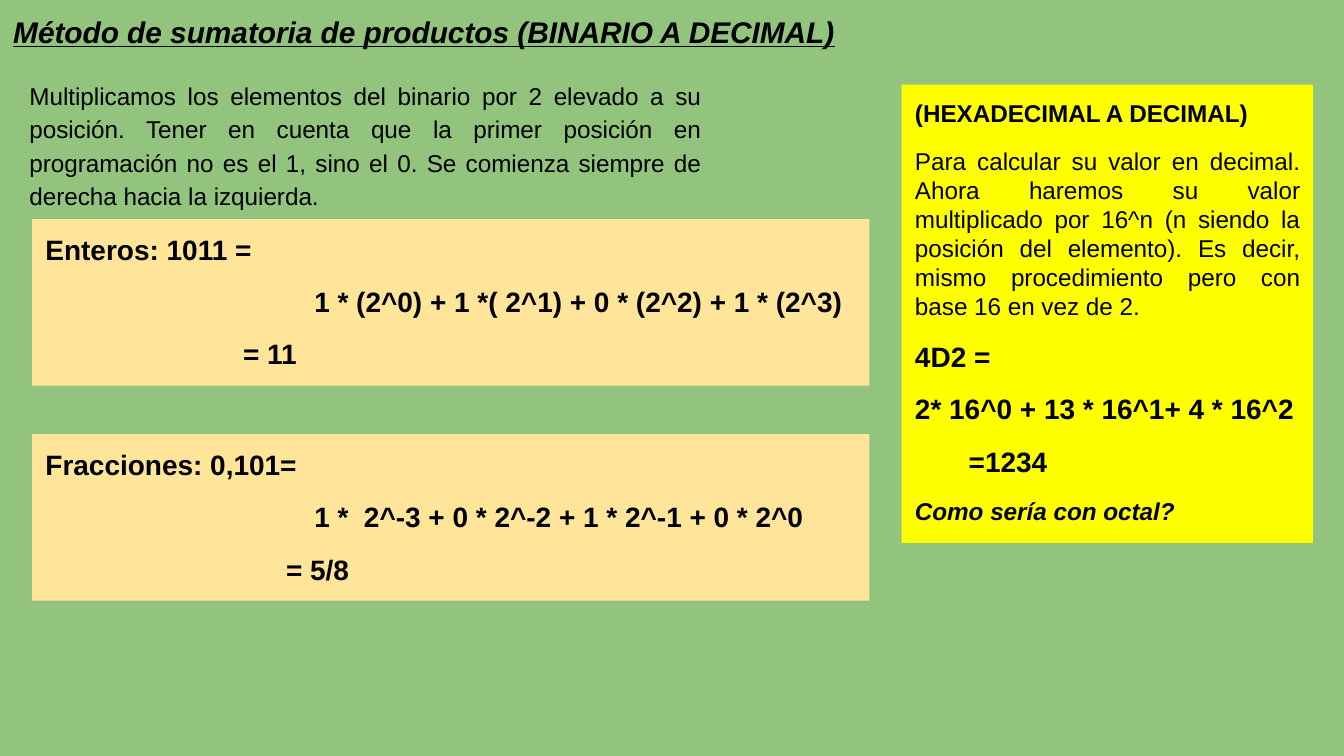
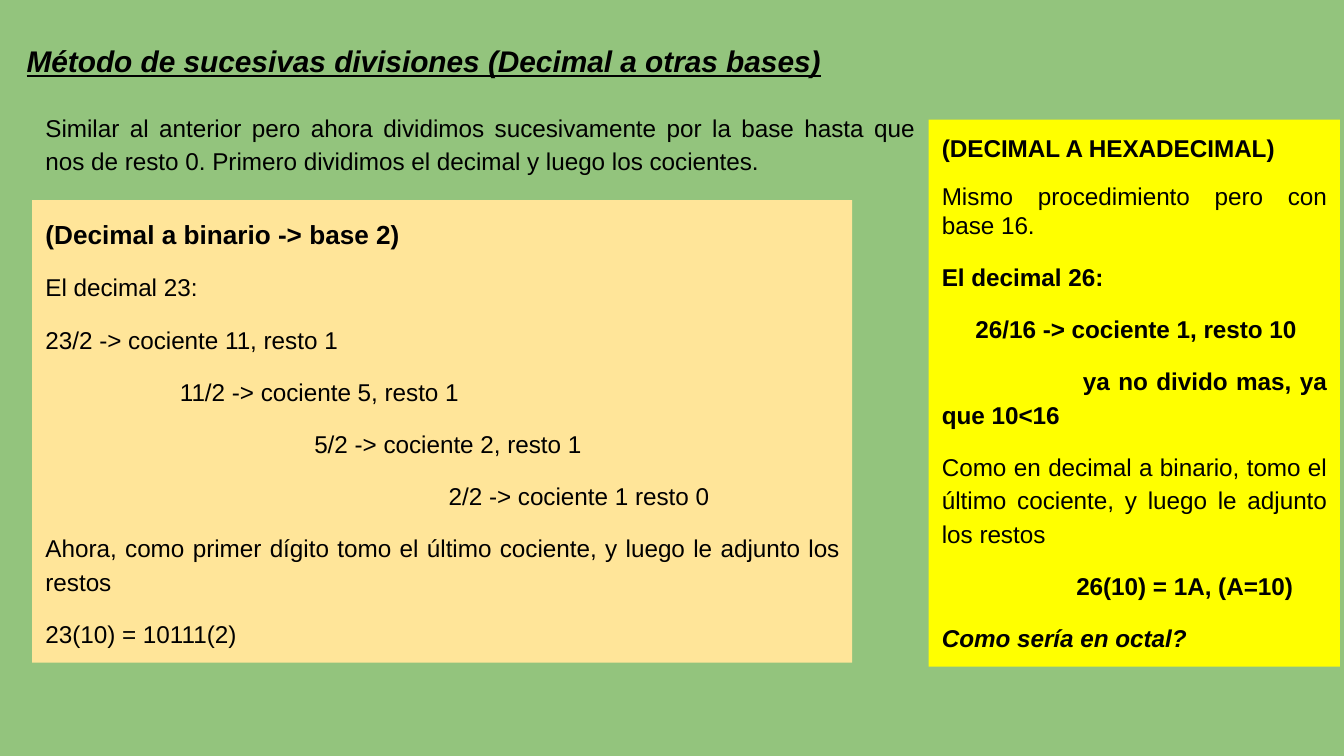
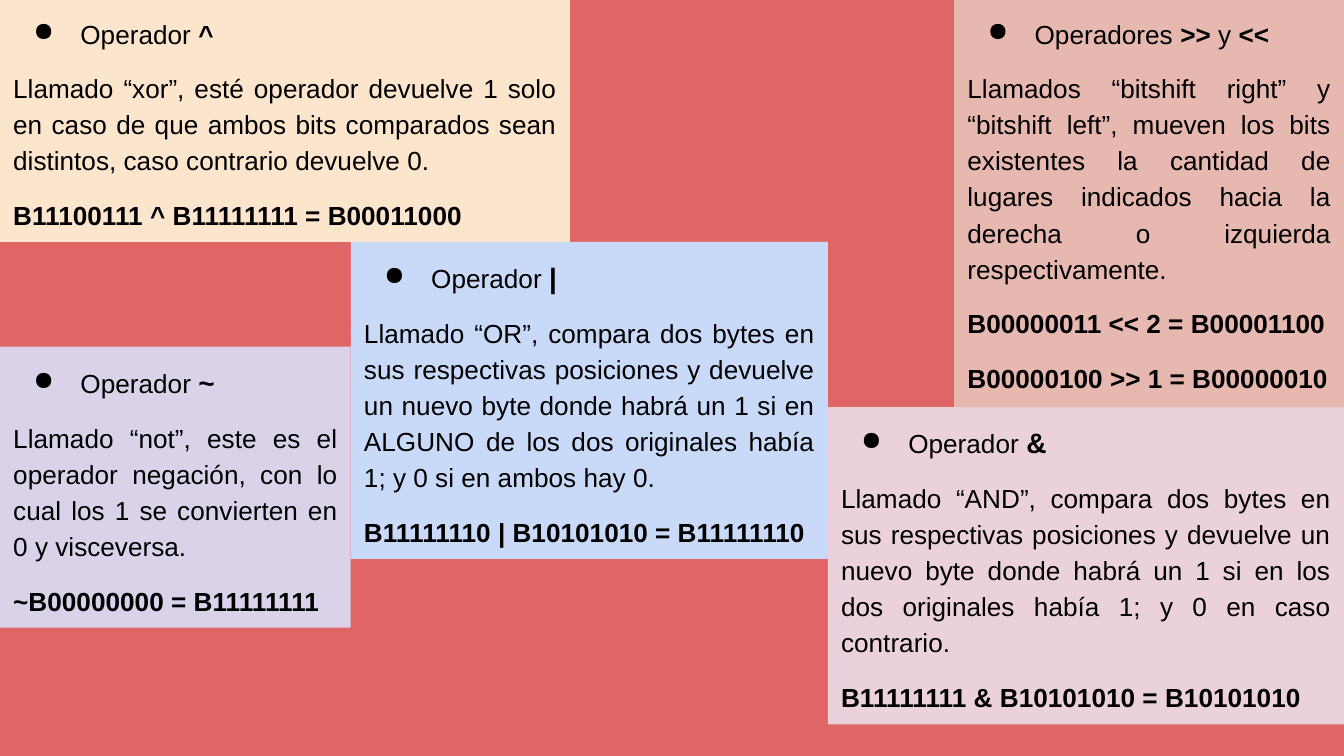
from dataclasses import dataclass
from typing import NamedTuple, Optional

from lxml import etree
from pptx import Presentation
from pptx.dml.color import RGBColor
from pptx.enum.shapes import MSO_SHAPE
from pptx.enum.text import MSO_ANCHOR, MSO_AUTO_SIZE, PP_ALIGN
from pptx.oxml.ns import qn
from pptx.util import Emu, Inches, Pt

RECT = MSO_SHAPE.RECTANGLE
TOP = MSO_ANCHOR.TOP
GROW = MSO_AUTO_SIZE.SHAPE_TO_FIT_TEXT
JUSTIFY = PP_ALIGN.JUSTIFY

# Shared look
FONT = "Arial"
BLACK = RGBColor(0x00, 0x00, 0x00)
GREEN = RGBColor(0x93, 0xC4, 0x7D)
RED = RGBColor(0xE0, 0x66, 0x66)
CREAM = RGBColor(0xFF, 0xE5, 0x99)
YELLOW = RGBColor(0xFF, 0xFF, 0x00)
PEACH = RGBColor(0xFC, 0xE5, 0xCD)
PINK = RGBColor(0xEA, 0xD1, 0xDC)
BLUE = RGBColor(0xC9, 0xDA, 0xF8)
ROSE = RGBColor(0xE6, 0xB8, 0xAF)
LILAC = RGBColor(0xD9, 0xD2, 0xE9)

# Grid of square cells: 100 columns across the slide
SLIDE_W, SLIDE_H = Inches(10), Inches(5.625)
COLS = 100
CELL = SLIDE_W / COLS
INSET = Inches(0.1)
GAP = 10
LOOSE = 1.15


class Area(NamedTuple):
    col: float
    row: float
    cols: float
    rows: float


class Run(NamedTuple):
    text: str
    size: float = 13
    bold: bool = False
    italic: bool = False
    underline: bool = False


@dataclass
class Para:
    runs: list[Run]
    spacing: float = LOOSE
    left: float = 0
    first: float = 0
    bullet: bool = False


@dataclass
class Box:
    area: Area
    paras: list[Para]
    fill: Optional[RGBColor] = None


def line(text: str, size: float = 13, bold: bool = False, italic: bool = False,
         spacing: float = LOOSE, left: float = 0, first: float = 0) -> Para:
    return Para([Run(text, size, bold, italic)], spacing, left, first)


def add_bullet(p) -> None:
    ppr = p._p.get_or_add_pPr()
    color = etree.SubElement(ppr, qn("a:buClr"))
    etree.SubElement(color, qn("a:srgbClr")).set("val", str(BLACK))
    etree.SubElement(ppr, qn("a:buChar")).set("char", "●")


def write_para(p, para: Para, is_first: bool, is_last: bool) -> None:
    if para.bullet:
        add_bullet(p)
    p.alignment = JUSTIFY
    p.line_spacing = para.spacing
    p.space_before = Pt(0 if is_first else GAP)
    p.space_after = Pt(GAP if is_last else 0)
    ppr = p._p.get_or_add_pPr()
    ppr.set("marL", str(Inches(para.left)))
    ppr.set("indent", str(Inches(para.first)))
    for run in para.runs:
        r = p.add_run()
        r.text = run.text
        r.font.name = FONT
        r.font.size = Pt(run.size)
        r.font.bold = run.bold
        r.font.italic = run.italic
        r.font.underline = run.underline
        r.font.color.rgb = BLACK


def add_box(s, box: Box) -> None:
    place = [Emu(round(n * CELL)) for n in box.area]
    if box.fill is None:
        sp = s.shapes.add_textbox(*place)
    else:
        sp = s.shapes.add_shape(RECT, *place)
        sp.shadow.inherit = False
        sp.fill.solid()
        sp.fill.fore_color.rgb = box.fill
        sp.line.fill.background()
    tf = sp.text_frame
    tf.word_wrap = True
    tf.auto_size = GROW
    tf.vertical_anchor = TOP
    tf.margin_left = tf.margin_right = tf.margin_top = tf.margin_bottom = INSET
    last = len(box.paras) - 1
    for i, para in enumerate(box.paras):
        p = tf.add_paragraph() if i else tf.paragraphs[0]
        write_para(p, para, i == 0, i == last)


def add_slide(prs, background: RGBColor, boxes: list[Box]) -> None:
    s = prs.slides.add_slide(prs.slide_layouts[6])
    s.background.fill.solid()
    s.background.fill.fore_color.rgb = background
    for box in boxes:
        add_box(s, box)


def title(area: Area, text: str, spacing: float) -> Box:
    return Box(area, [Para([Run(text, 16, True, True, True)], spacing)])


def example(row: float, heading: str, product: str, result: str,
            result_left: float) -> Box:
    """Worked conversion: heading, sum of products, result."""
    return Box(Area(2.4, row, 62.3, 12.4), [
        line(heading, 15, True, spacing=1),
        line(product, 15, True, spacing=1, left=1.5, first=0.5),
        line(result, 15, True, spacing=1, left=result_left),
    ], CREAM)


def operator(area: Area, fill: RGBColor, heading: list[Run], text: str,
             *samples: str) -> Box:
    """Tile for a bitwise operator: bulleted name, description, samples."""
    return Box(area, [
        Para(heading, left=0.5, first=-0.35, bullet=True),
        line(text, 14),
        *(line(sample, 14, True) for sample in samples),
    ], fill)


def named(symbol: str, size: float = 15) -> list[Run]:
    return [Run("Operador ", 14), Run(symbol, size, True)]


# Slide 1: sum of products
SUM_OF_PRODUCTS = [
    title(Area(0, 0, 65.9, 4.7),
          "Método de sumatoria de productos (BINARIO A DECIMAL)", 1),
    Box(Area(1.2, 4.7, 51.9, 11.8), [line(
        "Multiplicamos los elementos del binario por 2 elevado a su posición. "
        "Tener en cuenta que la primer posición en programación no es el 1, "
        "sino el 0. Se comienza siempre de derecha hacia la izquierda.")]),
    example(16.3, "Enteros: 1011 =",
            "1 * (2^0) + 1 *( 2^1) + 0 * (2^2) + 1 * (2^3)", "= 11", 1.47),
    example(32.3, "Fracciones: 0,101=",
            "1 *  2^-3 + 0 * 2^-2 + 1 * 2^-1 + 0 * 2^0", "= 5/8", 1.79),
    Box(Area(67.1, 6.3, 30.6, 34.1), [
        line("(HEXADECIMAL A DECIMAL)", bold=True, spacing=1),
        line("Para calcular su valor en decimal. Ahora haremos su valor "
             "multiplicado por 16^n (n siendo la posición del elemento). Es "
             "decir, mismo procedimiento pero con base 16 en vez de 2.",
             spacing=1),
        line("4D2 =", 15, True, spacing=1),
        line("2* 16^0 + 13 * 16^1+ 4 * 16^2", 15, True, spacing=1),
        line("=1234", 15, True, spacing=1, left=0.4),
        line("Como sería con octal?", bold=True, italic=True, spacing=1),
    ], YELLOW),
]

# Slide 2: successive divisions, each step one inch further in
DIVISIONS = [
    "23/2 -> cociente 11, resto 1",
    "11/2 -> cociente 5, resto 1",
    "5/2 -> cociente 2, resto 1",
    "2/2 -> cociente 1 resto 0",
]
SUCCESSIVE_DIVISIONS = [
    title(Area(1, 1.8, 63.7, 9.2),
          "Método de sucesivas divisiones (Decimal a otras bases)", LOOSE),
    Box(Area(2.4, 14.9, 61, 34.4), [
        line("(Decimal a binario -> base 2)", 14, True),
        line("El decimal 23:"),
        *(line(step, left=i) for i, step in enumerate(DIVISIONS)),
        line("Ahora, como primer dígito tomo el último cociente, y luego le "
             "adjunto los restos"),
        line("23(10) = 10111(2)"),
    ], CREAM),
    Box(Area(2.4, 7.1, 66.6, 6.7), [line(
        "Similar al anterior pero ahora dividimos sucesivamente por la base "
        "hasta que nos de resto 0. Primero dividimos el decimal y luego los "
        "cocientes.")]),
    Box(Area(69.1, 8.9, 30.6, 40.7), [
        line("(DECIMAL A HEXADECIMAL)", bold=True, spacing=1),
        line("Mismo procedimiento pero con base 16.", spacing=1),
        line("El decimal 26:", bold=True),
        line("26/16 -> cociente 1, resto 10", bold=True, left=0.25),
        line("ya no divido mas, ya que 10<16", bold=True, first=1.05),
        line("Como en decimal a binario, tomo el último cociente, y luego le "
             "adjunto los restos"),
        line("26(10) = 1A, (A=10)", bold=True, left=1),
        line("Como sería en octal?", bold=True, italic=True),
    ], YELLOW),
]

# Slide 3: operator tiles that meet at shared edges
OR_LEFT, OR_RIGHT = 26.1, 61.6
XOR_BOTTOM, SHIFT_BOTTOM = 18, 30.3
SHIFT_LEFT = 71
OPERATORS = [
    operator(Area(0, 0, 42.4, XOR_BOTTOM), PEACH, named("^", 14),
             "Llamado “xor”, esté operador devuelve 1 solo en caso de que "
             "ambos bits comparados sean distintos, caso contrario devuelve 0.",
             "B11100111 ^ B11111111 = B00011000"),
    operator(Area(OR_RIGHT, SHIFT_BOTTOM, COLS - OR_RIGHT, 23.6), PINK,
             named("&"),
             "Llamado “AND”, compara dos bytes en sus respectivas posiciones y "
             "devuelve un nuevo byte donde habrá un 1 si en los dos originales "
             "había 1; y 0 en caso contrario.",
             "B11111111 & B10101010 = B10101010"),
    operator(Area(OR_LEFT, XOR_BOTTOM, OR_RIGHT - OR_LEFT, 23.6), BLUE,
             named("|"),
             "Llamado “OR”, compara dos bytes en sus respectivas posiciones y "
             "devuelve un nuevo byte donde habrá un 1 si en ALGUNO de los dos "
             "originales había 1; y 0 si en ambos hay 0.",
             "B11111110 | B10101010 = B11111110"),
    operator(Area(SHIFT_LEFT, 0, COLS - SHIFT_LEFT, SHIFT_BOTTOM), ROSE,
             [Run("Operadores ", 14), Run(">>", 14, True), Run(" y ", 14),
              Run("<<", 14, True)],
             "Llamados “bitshift right” y “bitshift left”, mueven los bits "
             "existentes la cantidad de lugares indicados hacia la derecha o "
             "izquierda respectivamente.",
             "B00000011 << 2 = B00001100", "B00000100 >> 1 = B00000010"),
    operator(Area(0, 25.8, OR_LEFT, 20.9), LILAC, named("~"),
             "Llamado “not”, este es el operador negación, con lo cual los 1 "
             "se convierten en 0 y visceversa.",
             "~B00000000 = B11111111"),
]


def main() -> None:
    prs = Presentation()
    prs.slide_width, prs.slide_height = SLIDE_W, SLIDE_H
    add_slide(prs, GREEN, SUM_OF_PRODUCTS)
    add_slide(prs, GREEN, SUCCESSIVE_DIVISIONS)
    add_slide(prs, RED, OPERATORS)
    prs.save("out.pptx")


if __name__ == "__main__":
    main()
